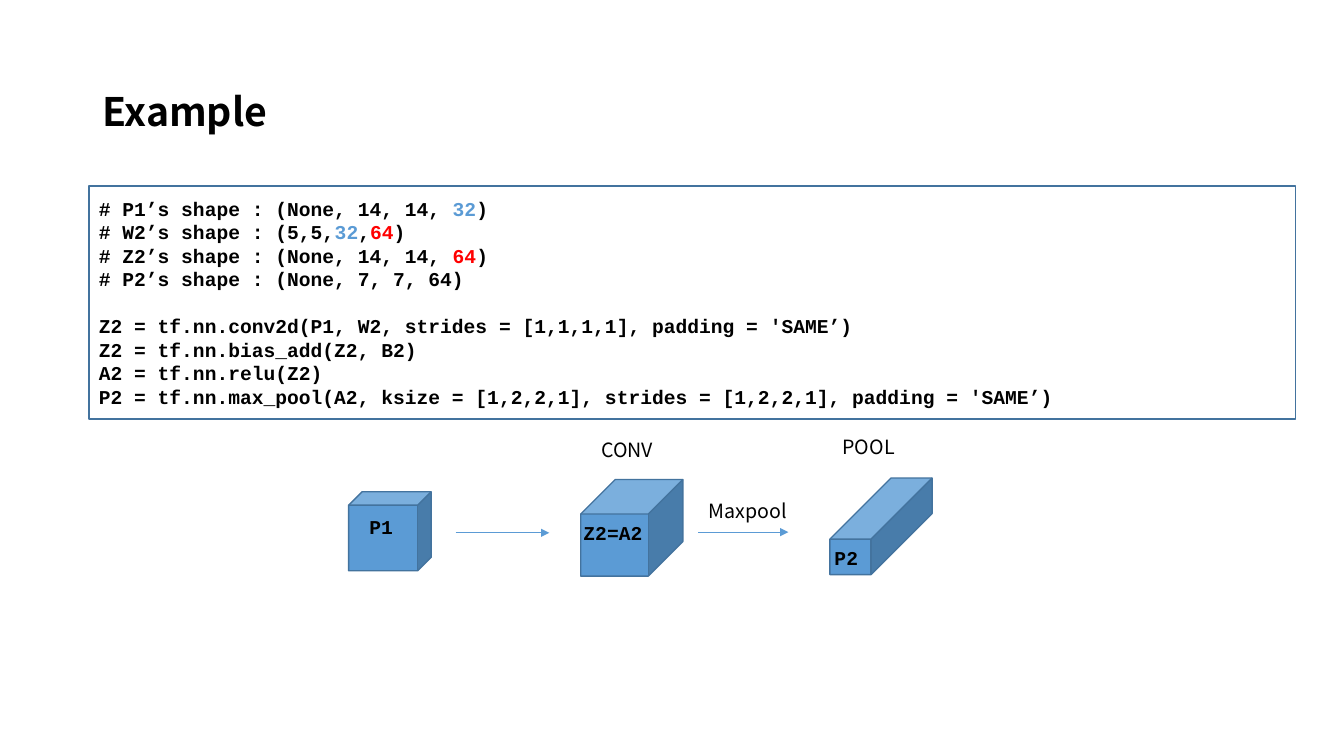
from dataclasses import dataclass

from lxml.etree import SubElement
from pptx import Presentation
from pptx.dml.color import RGBColor
from pptx.enum.shapes import MSO_CONNECTOR, MSO_SHAPE
from pptx.enum.text import MSO_ANCHOR, PP_ALIGN
from pptx.oxml.ns import qn
from pptx.util import Pt


@dataclass(frozen=True)
class Theme:
    """Colours, fonts and type sizes of the slide."""
    ink: str = "000000"
    blue: str = "5B9BD5"
    red: str = "FF0000"
    edge: str = "43739E"
    sans: str = "Noto Sans CJK KR"
    mono: str = "Courier New"
    heading: float = 28
    body: float = 14
    section_gap: float = 16.8


class SlideBuilder:
    """Draws each kind of element on the current slide."""

    def __init__(self, slide, theme):
        self.slide = slide
        self.theme = theme

    def add_run(self, paragraph, text, face, size, bold, colour):
        """Append one formatted run."""
        run = paragraph.add_run()
        run.text = text
        run.font.name = face
        run.font.size = Pt(size)
        run.font.bold = bold
        run.font.color.rgb = RGBColor.from_string(colour)

    def label(self, text, left, top, width, height=24.5, face=None, size=None, bold=False):
        """Place one line of text and return its frame."""
        frame = self.slide.shapes.add_textbox(Pt(left), Pt(top), Pt(width), Pt(height)).text_frame
        frame.word_wrap = True
        self.add_run(frame.paragraphs[0], text, face or self.theme.sans,
                     size or self.theme.body, bold, self.theme.ink)
        return frame

    def title(self, text, left, top, width, height):
        """Place the heading, centred vertically in its area."""
        frame = self.label(text, left, top, width, height, size=self.theme.heading, bold=True)
        frame.vertical_anchor = MSO_ANCHOR.MIDDLE
        frame.paragraphs[0].line_spacing = 0.9

    def outlined(self, preset, left, top, width, height):
        """Add a preset shape with the common outline."""
        shape = self.slide.shapes.add_shape(preset, Pt(left), Pt(top), Pt(width), Pt(height))
        shape.shadow.inherit = False
        shape.line.color.rgb = RGBColor.from_string(self.theme.edge)
        shape.line.width = Pt(1)
        return shape

    def code(self, sections, left, top, width, height):
        """Add a framed listing with a gap between its sections."""
        panel = self.outlined(MSO_SHAPE.RECTANGLE, left, top, width, height)
        panel.fill.background()
        frame = panel.text_frame
        frame.word_wrap = True
        frame.vertical_anchor = MSO_ANCHOR.MIDDLE
        paragraph = None
        for section in sections:
            for position, line in enumerate(section):
                first = paragraph is None
                paragraph = frame.paragraphs[0] if first else frame.add_paragraph()
                paragraph.alignment = PP_ALIGN.LEFT
                if position == 0 and not first:
                    paragraph.space_before = Pt(self.theme.section_gap)
                for text, colour in line:
                    self.add_run(paragraph, text, self.theme.mono, self.theme.body, True, colour)

    def cube(self, left, top, width, height, depth):
        """Add a tensor block of the given relative depth."""
        block = self.outlined(MSO_SHAPE.CUBE, left, top, width, height)
        block.adjustments[0] = depth
        block.fill.solid()
        block.fill.fore_color.rgb = RGBColor.from_string(self.theme.blue)

    def arrow(self, start, end, level):
        """Add a thin horizontal arrow."""
        step = self.slide.shapes.add_connector(
            MSO_CONNECTOR.STRAIGHT, Pt(start), Pt(level), Pt(end), Pt(level))
        step.line.color.rgb = RGBColor.from_string(self.theme.blue)
        step.line.width = Pt(0.5)
        SubElement(step.line._get_or_add_ln(), qn("a:tailEnd"), type="triangle")
        SubElement(step._element.spPr, qn("a:effectLst"))


def main():
    """Build and save the convolution example."""
    theme = Theme()
    deck = Presentation()
    deck.slide_width, deck.slide_height = Pt(960), Pt(540)
    builder = SlideBuilder(deck.slides.add_slide(deck.slide_layouts[6]), theme)

    ink, blue, red = theme.ink, theme.blue, theme.red
    shapes = [
        [("# P1’s shape : (None, 14, 14, ", ink), ("32", blue), (")", ink)],
        [("# W2’s shape : (5,5,", ink), ("32", blue), (",", ink), ("64", red), (")", ink)],
        [("# Z2’s shape : (None, 14, 14, ", ink), ("64", red), (")", ink)],
        [("# P2’s shape : (None, 7, 7, 64)", ink)],
    ]
    operations = [[(line, ink)] for line in (
        "Z2 = tf.nn.conv2d(P1, W2, strides = [1,1,1,1], padding = 'SAME’)",
        "Z2 = tf.nn.bias_add(Z2, B2)",
        "A2 = tf.nn.relu(Z2)",
        "P2 = tf.nn.max_pool(A2, ksize = [1,2,2,1], strides = [1,2,2,1], padding = 'SAME’)",
    )]

    builder.title("Example", 66, 28.8, 828, 104.4)
    builder.code([shapes, operations], 63.5, 132.8, 862, 166.5)

    for tensor in ((414.8, 342.5, 73, 69, 0.358),
                   (592.8, 341.5, 73, 69, 0.632),
                   (249, 351.2, 59, 56.5, 0.171)):
        builder.cube(*tensor)
    for start, end, level in ((325.5, 392.4, 380.6), (498.8, 563.2, 380.1)):
        builder.arrow(start, end, level)
    for stage, left, top in (("CONV", 422.4, 309.4), ("Maxpool", 499, 352.8), ("POOL", 594.7, 307.3)):
        builder.label(stage, left, top, 71.3)
    for tensor, left, top, width in (("P1", 256.8, 364.5, 36),
                                     ("Z2=A2", 409.7, 368.4, 66.2),
                                     ("P2", 589, 386.3, 36)):
        builder.label(tensor, left, top, width, face=theme.mono, bold=True)

    deck.save("out.pptx")


if __name__ == "__main__":
    main()
